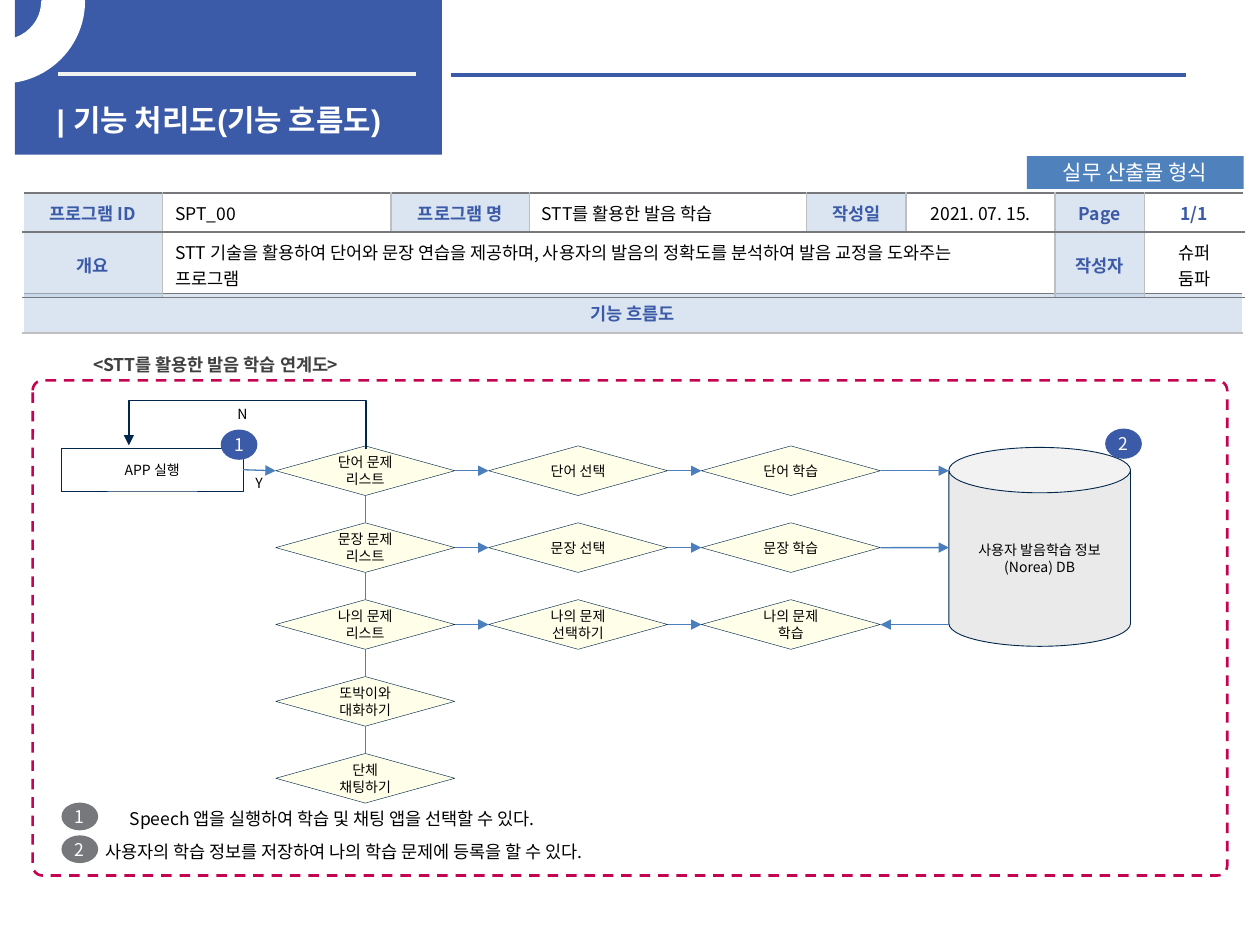
"""Build the function flow slide for the speech practice program."""
import dataclasses

import lxml.etree
import pptx
import pptx.dml.color
import pptx.enum.dml
import pptx.enum.shapes
import pptx.enum.text
import pptx.oxml.ns
import pptx.util

Cm = pptx.util.Cm
Pt = pptx.util.Pt
qn = pptx.oxml.ns.qn
Kind = pptx.enum.shapes.MSO_SHAPE
Link = pptx.enum.shapes.MSO_CONNECTOR
Align = pptx.enum.text.PP_ALIGN
Anchor = pptx.enum.text.MSO_ANCHOR
TOP, LEFT, BOTTOM, RIGHT = range(4)


@dataclasses.dataclass(frozen=True)
class Theme:
    """Colours, fonts and type sizes of the slide."""
    blue: str = "3B5AA8"
    tag: str = "4F81BD"
    arrow: str = "4B7EBC"
    navy: str = "00264C"
    pale: str = "B9CDE5"
    cream: str = "FFFFE9"
    store: str = "EAEAEA"
    gray: str = "77787B"
    silver: str = "BFBFBF"
    heading: str = "404040"
    rule: str = "F2F2F2"
    pink: str = "C40452"
    white: str = "FFFFFF"
    black: str = "000000"
    font: str = "Noto Sans CJK KR"
    latin: str = "Arial"
    title: int = 17
    label: int = 12
    body: int = 10
    small: int = 8


THEME = Theme()


def rgb(value):
    """Return a colour object for a hex value."""
    return pptx.dml.color.RGBColor.from_string(value)


def write(frame, text, size=THEME.body, color=THEME.black, bold=False, font=THEME.font,
          align=Align.CENTER, spacing=None, before=None):
    """Fill a text frame with one paragraph for each line of text."""
    for index, line in enumerate(text.split("\n")):
        para = frame.add_paragraph() if index else frame.paragraphs[0]
        para.alignment, para.line_spacing, para.space_before = align, spacing, before
        span = para.add_run()
        span.text = line
        span.font.size, span.font.bold, span.font.name = Pt(size), bold, font
        span.font.color.rgb = rgb(color)
        east = lxml.etree.SubElement(span.font._element, qn("a:ea"))
        east.set("typeface", THEME.font)


def set_frame(frame, anchor=Anchor.MIDDLE, inset=None, wrap=True):
    """Set the anchor, wrapping and equal insets of a text frame."""
    frame.word_wrap, frame.vertical_anchor = wrap, anchor
    if inset is not None:
        frame.margin_left = frame.margin_right = Cm(inset)
        frame.margin_top = frame.margin_bottom = Cm(inset)


def add_box(page, kind, place, fill=None, line=None, width=0.5, text="", inset=None,
            wrap=True, **style):
    """Add a preset shape with optional fill, outline and text."""
    box = page.shapes.add_shape(kind, *map(Cm, place))
    box.shadow.inherit = False
    if fill:
        box.fill.solid()
        box.fill.fore_color.rgb = rgb(fill)
    else:
        box.fill.background()
    if line:
        box.line.color.rgb, box.line.width = rgb(line), Pt(width)
    else:
        box.line.fill.background()
    if text:
        set_frame(box.text_frame, inset=inset, wrap=wrap)
        write(box.text_frame, text, **style)
    return box


def add_label(page, place, text, **style):
    """Add a text box."""
    box = page.shapes.add_textbox(*map(Cm, place))
    set_frame(box.text_frame, Anchor.TOP)
    write(box.text_frame, text, **style)


def add_badge(page, left, top, number, fill, height=0.61):
    """Add a numbered oval."""
    add_box(page, Kind.OVAL, (left, top, 0.74, height), fill, text=number, inset=0.15,
            wrap=False, color=THEME.white)


def add_line(page, start, end, color=THEME.arrow, width=0.75, arrow=False, kind=Link.STRAIGHT):
    """Add a connector whose ends are points or (shape, side) pairs."""
    joined = [not isinstance(tip[0], (int, float)) for tip in (start, end)]
    points = [(0, 0) if glued else tip for glued, tip in zip(joined, (start, end))]
    line = page.shapes.add_connector(kind, *[Cm(value) for point in points for value in point])
    if joined[0]:
        line.begin_connect(*start)
    if joined[1]:
        line.end_connect(*end)
    line.line.color.rgb, line.line.width = rgb(color), Pt(width)
    properties = line.element.spPr
    if arrow:
        lxml.etree.SubElement(properties.find(qn("a:ln")), qn("a:tailEnd")).set("type", "triangle")
    lxml.etree.SubElement(properties, qn("a:effectLst"))
    return line


def add_return_path(page):
    """Add the bent arrow that leads from the first list back to the start."""
    left, top, depth, span, rise = 4.95, 6.63, 0.08, 4.78, 0.99
    line = add_line(page, (left, top), (left + depth, top + span), THEME.navy,
                    arrow=True, kind=Link.ELBOW)
    properties = line.element.spPr
    frame = properties.find(qn("a:xfrm"))
    frame.set("rot", str(90 * 60000))
    frame.set("flipH", "1")
    guide = lxml.etree.SubElement(properties.find(qn("a:prstGeom")).find(qn("a:avLst")), qn("a:gd"))
    guide.set("name", "adj1")
    guide.set("fmla", f"val {round(rise / depth * 100000)}")


def format_cell(cell, text, borders, shaded=False, **style):
    """Set the borders, fill and text of a table cell."""
    properties = cell._tc.get_or_add_tcPr()
    for side, color in zip("LRTB", borders):
        edge = lxml.etree.SubElement(properties, qn(f"a:ln{side}"), w=str(Pt(1)))
        if color:
            fill = lxml.etree.SubElement(edge, qn("a:solidFill"))
            lxml.etree.SubElement(fill, qn("a:srgbClr"), val=color)
        else:
            lxml.etree.SubElement(edge, qn("a:noFill"))
    cell.fill.background()
    if shaded:
        cell.fill.solid()
        cell.fill.fore_color.rgb = rgb(THEME.pale)
        tint = properties.find(qn("a:solidFill"))[0]
        lxml.etree.SubElement(tint, qn("a:alpha"), val="50000")
    cell.vertical_anchor = Anchor.MIDDLE
    if text:
        write(cell.text_frame, text, **style)


def add_grid(page, left, top, columns, rows):
    """Add an unstyled table with the given column widths and row heights."""
    table = page.shapes.add_table(len(rows), len(columns), Cm(left), Cm(top),
                                  Cm(sum(columns)), Cm(sum(rows))).table
    table.first_row = table.horz_banding = False
    for column, width in zip(table.columns, columns):
        column.width = Cm(width)
    for row, height in zip(table.rows, rows):
        row.height = Cm(height)
    return table


def add_header(page):
    """Add the banner with its ring, rules and title."""
    banner = add_box(page, Kind.RECTANGLE, (0.3, 0, 8.61, 3.12), THEME.blue)
    add_line(page, (1.17, 1.5), (8.38, 1.5), THEME.rule, 2.25)
    add_line(page, (9.09, 1.52), (23.9, 1.52), THEME.blue, 2.25)
    title = page.shapes.title
    banner.element.addnext(title.element)
    title.left, title.top, title.width, title.height = map(Cm, (0.89, 1.93, 7.8, 0.81))
    set_frame(title.text_frame, Anchor.TOP)
    title.text_frame.margin_right = 0
    title.text_frame.auto_size = pptx.enum.text.MSO_AUTO_SIZE.NONE
    write(title.text_frame, "| 기능 처리도(기능 흐름도)", size=THEME.title, color=THEME.white,
          bold=True, font=THEME.latin, align=Align.LEFT)
    ring = add_box(page, Kind.BLOCK_ARC, (-1.6, -1.6, 3.28, 3.25), THEME.white, THEME.white, 2)
    for index, value in enumerate((96.95, 0, 0.25)):
        ring.adjustments[index] = value
    ring.element.spPr.find(qn("a:xfrm")).set("flipV", "1")


def add_tables(page):
    """Add the flow heading table, the information table and the tag."""
    strong = {"color": THEME.blue, "bold": True}
    flow = add_grid(page, 0.46, 5.92, [24.59], [0.79, 10.54])
    format_cell(flow.cell(0, 0), "기능 흐름도",
                (THEME.white, THEME.white, THEME.gray, THEME.silver), True, **strong)
    format_cell(flow.cell(1, 0), "", (THEME.white, THEME.white, THEME.silver, None))
    add_label(page, (1.63, 6.93, 13.79, 0.71), "<STT를 활용한 발음 학습 연계도>",
              color=THEME.heading, bold=True, align=Align.LEFT, spacing=1.2, before=Pt(2))
    info = add_grid(page, 0.46, 3.89, [2.82, 4.6, 2.79, 5.59, 2.01, 3, 1.8, 2.01], [0.79, 1.32])
    info.cell(1, 1).merge(info.cell(1, 5))
    summary = "STT 기술을 활용하여 단어와 문장 연습을 제공하며, 사용자의 발음의 정확도를 분석하여 발음 교정을 도와주는\n프로그램"
    content = (("프로그램 ID", "SPT_00", "프로그램 명", "STT를 활용한 발음 학습", "작성일",
                "2021. 07. 15.", "Page", "1/1"),
               ("개요", summary, "", "", "", "", "작성자", "슈퍼\n둠파"))
    for row, texts in enumerate(content):
        for column, text in enumerate(texts):
            heading = column % 2 == 0
            style = strong if heading or text == "1/1" else {}
            borders = (THEME.silver if column else THEME.white,
                       THEME.silver if column < 7 else THEME.white, THEME.gray, THEME.gray)
            format_cell(info.cell(row, column), text, borders, heading and bool(text),
                        align=Align.LEFT if column in (1, 3) else Align.CENTER, **style)
    add_box(page, Kind.RECTANGLE, (20.7, 3.15, 4.37, 0.66), THEME.tag, text="실무 산출물 형식",
            size=THEME.label, color=THEME.white)


def add_flow(page):
    """Add the dashed frame with the flow chart."""
    frame = add_box(page, Kind.ROUNDED_RECTANGLE, (0.66, 7.67, 24.08, 9.98), None, THEME.pink, 1.5)
    frame.adjustments[0] = 0.02
    frame.line.dash_style = pptx.enum.dml.MSO_LINE.DASH
    start = add_box(page, Kind.RECTANGLE, (1.24, 9.04, 3.66, 0.86), None, THEME.navy,
                    text="APP 실행", inset=0.1, size=THEME.small)
    columns = (("단어 문제 리스트", "문장 문제 리스트", "나의 문제 리스트", "또박이와 대화하기", "단체 채팅하기"),
               ("단어 선택", "문장 선택", "나의 문제 선택하기"),
               ("단어 학습", "문장 학습", "나의 문제 학습"))
    lists, choices, lessons = [
        [add_box(page, Kind.FLOWCHART_DECISION, (5.56 + 4.29 * column, 8.99 + 1.55 * row, 3.61, 1),
                 THEME.cream, THEME.navy, 0.25, text, size=THEME.small)
         for row, text in enumerate(texts)] for column, texts in enumerate(columns)]
    store = add_box(page, Kind.CAN, (19.13, 9.02, 3.66, 4.01), THEME.store, THEME.navy,
                    text="사용자 발음학습 정보\n(Norea) DB", inset=0.1, size=THEME.small)
    store.adjustments[0] = 0.25
    for origin, choice, lesson in zip(lists, choices, lessons):
        add_line(page, (origin, RIGHT), (choice, LEFT), arrow=True)
        add_line(page, (choice, RIGHT), (lesson, LEFT), arrow=True)
        edge = (19.13, (lesson.top + lesson.height / 2) / Cm(1))
        ends = [(lesson, RIGHT), edge]
        add_line(page, *(ends[::-1] if lesson is lessons[-1] else ends), arrow=True)
    for upper, lower in zip(lists, lists[1:]):
        add_line(page, (upper, BOTTOM), (lower, TOP))
    add_line(page, (start, RIGHT), (lists[0], LEFT), arrow=True)
    add_return_path(page)
    add_label(page, (4.52, 8.05, 0.74, 0.61), "N", size=THEME.small)
    add_label(page, (4.88, 9.45, 0.69, 0.61), "Y", size=THEME.small)
    add_badge(page, 4.45, 8.66, "1", THEME.blue)
    add_badge(page, 22.28, 8.64, "2", THEME.blue)


def add_notes(page):
    """Add the numbered remarks below the chart."""
    remarks = (("Speech 앱을 실행하여 학습 및 채팅 앱을 선택할 수 있다.", 9.65, Align.CENTER),
               ("사용자의 학습 정보를 저장하여 나의 학습 문제에 등록을 할 수 있다.", 11.51, Align.LEFT))
    for index, (text, width, align) in enumerate(remarks):
        top = 16.08 + 0.66 * index
        add_badge(page, 1.24, top + 0.1, str(index + 1), THEME.gray, 0.56)
        add_label(page, (1.87, top, width, 0.71), text, align=align, spacing=1.2, before=Pt(2))


def main():
    """Build and save the deck."""
    deck = pptx.Presentation()
    deck.slide_width, deck.slide_height = Cm(25.4), Cm(19.05)
    page = deck.slides.add_slide(deck.slide_layouts[5])
    add_header(page)
    add_tables(page)
    add_flow(page)
    add_notes(page)
    deck.save("out.pptx")


if __name__ == "__main__":
    main()
